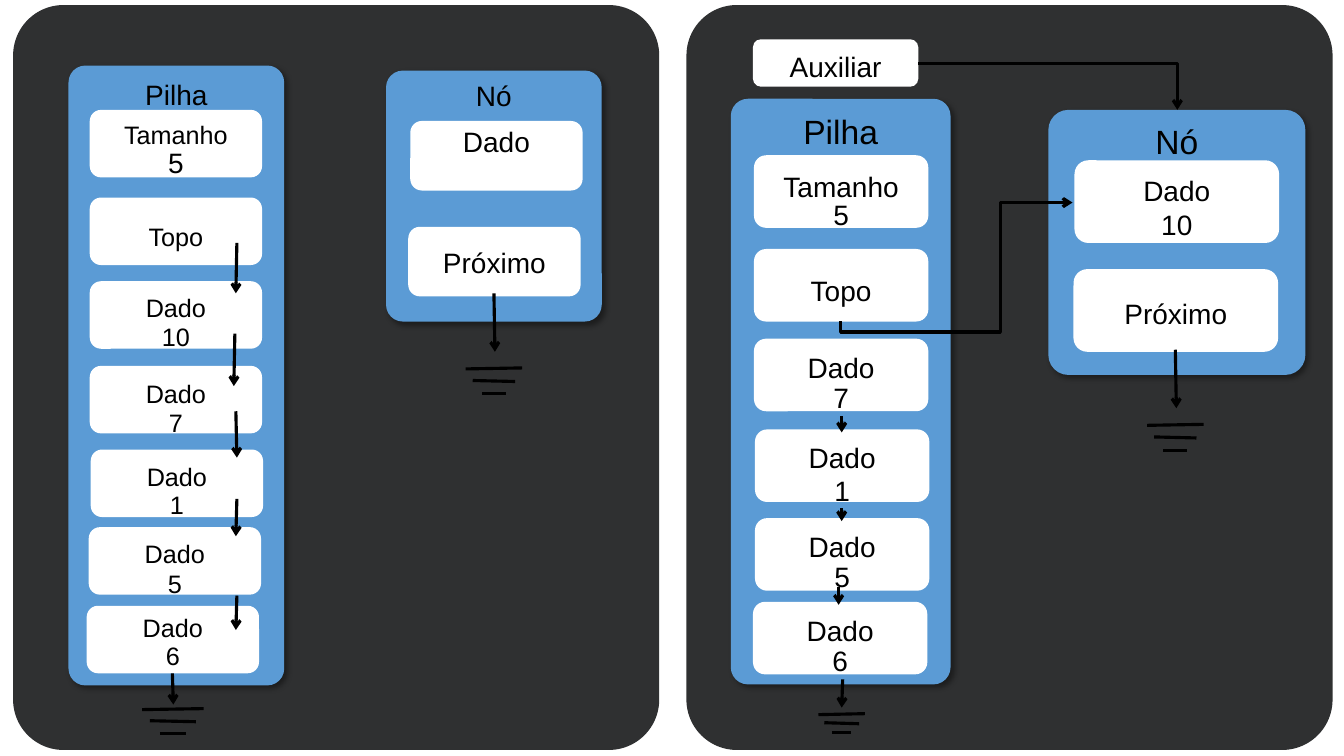
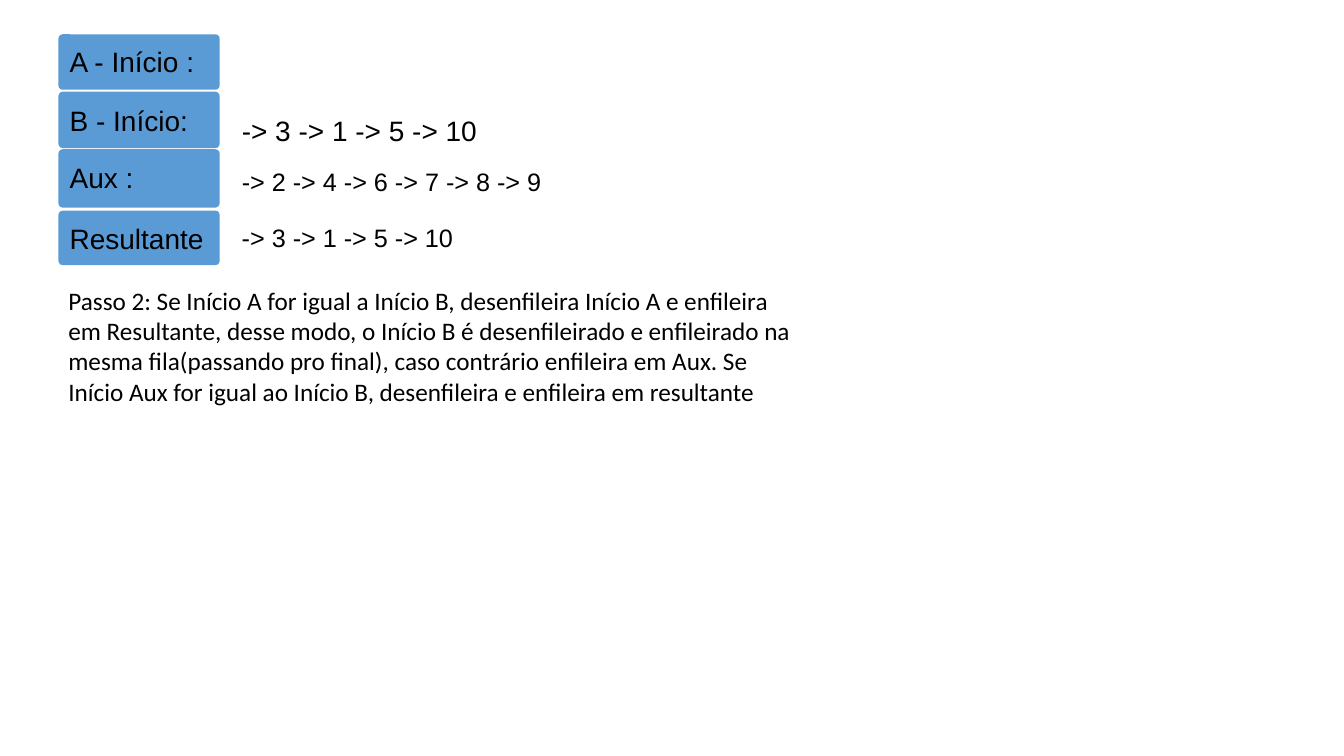
from dataclasses import dataclass
from typing import Any, NamedTuple

from lxml.etree import SubElement
from pptx import Presentation
from pptx.dml.color import RGBColor
from pptx.enum.shapes import MSO_CONNECTOR, MSO_SHAPE
from pptx.enum.text import MSO_ANCHOR, PP_ALIGN
from pptx.oxml.ns import qn
from pptx.util import Inches, Pt

COLUMNS, ROWS = 133.33, 75


@dataclass(frozen=True)
class Theme:
    panel: RGBColor = RGBColor(0x2F, 0x30, 0x31)
    card: RGBColor = RGBColor(0x5B, 0x9B, 0xD5)
    cell: RGBColor = RGBColor(0xFF, 0xFF, 0xFF)
    ink: RGBColor = RGBColor(0, 0, 0)
    diagram_font: str = "Arial"
    body_font: str = "Calibri"
    heading: int = 24
    label: int = 20
    small: int = 18
    stroke: float = 2.25
    card_corner: float = 0.078
    cell_corner: float = 0.167


THEME = Theme()


class Box(NamedTuple):
    column: float
    row: float
    columns: float
    rows: float


class Text(NamedTuple):
    words: str
    size: int = THEME.label
    pitch: float | None = None


class Cell(NamedTuple):
    column: float
    row: float
    pad: float
    lines: tuple[Text, ...]


class Arrow(NamedTuple):
    column: float
    row: float
    end_column: float
    end_row: float


class Ground(NamedTuple):
    center: float
    row: float
    columns: float
    gap: float


class Elbow(NamedTuple):
    box: Box
    preset: str
    turn: dict[str, str] = {}
    adjustments: tuple[int, ...] = ()


@dataclass(frozen=True)
class Card:
    box: Box
    pad: float
    title: Text
    cell_columns: float
    cell_rows: float
    cells: tuple[Cell, ...]


def pair(label: str, value: str, size: int, pitch: float) -> tuple[Text, ...]:
    return Text(label, size), Text(value, size, pitch)


CARDS = (
    Card(Box(6.8, 6.5, 21.4, 61.5), 0.7, Text("Pilha"), 17.1, 6.7, (
        Cell(8.9, 10.9, 0.6, (Text("Tamanho", THEME.small), Text("5", THEME.label, 21))),
        Cell(8.9, 19.6, 2, (Text("Topo", THEME.small),)),
        Cell(8.9, 27.9, 0.8, pair("Dado", "10", THEME.small, 20.5)),
        Cell(8.9, 36.3, 0.9, pair("Dado", "7", THEME.small, 21)),
        Cell(9, 44.6, 0.8, pair("Dado", "1", THEME.small, 20.5)),
        Cell(8.8, 52.3, 0.8, pair("Dado", "5", THEME.small, 21)),
        Cell(8.6, 60.1, 0.3, pair("Dado", "6", THEME.small, 20.5)),
    )),
    Card(Box(38.3, 7, 21.4, 24.9), 0.3, Text("Nó"), 17.1, 6.9, (
        Cell(40.7, 12, 0, (Text("Dado"),)),
        Cell(40.5, 22.5, 1.5, (Text("Próximo"),)),
    )),
    Card(Box(72.5, 9.8, 21.8, 58.1), 0.7, Text("Pilha", THEME.heading), 17.3, 7.2, (
        Cell(74.8, 15.4, 1.1, pair("Tamanho", "5", THEME.label, 20)),
        Cell(74.8, 24.7, 2.1, (Text("Topo"),)),
        Cell(74.8, 33.6, 0.8, pair("Dado", "7", THEME.label, 21.5)),
        Cell(74.9, 42.6, 0.8, pair("Dado", "1", THEME.label, 23)),
        Cell(74.9, 51.4, 0.8, pair("Dado", "5", THEME.label, 21.5)),
        Cell(74.7, 59.7, 0.8, pair("Dado", "6", THEME.label, 21.5)),
    )),
    Card(Box(104, 10.9, 25.5, 26.3), 0.5, Text("Nó", THEME.heading), 20.3, 8.2, (
        Cell(106.6, 15.9, 0.9, pair("Dado", "10", THEME.label, 24.5)),
        Cell(106.5, 26.7, 2.3, (Text("Próximo"),)),
    )),
)

ARROWS = (
    Arrow(23.5, 24.1, 23.4, 29.1),
    Arrow(23.3, 33.1, 23.2, 38.3),
    Arrow(23.4, 40.8, 23.5, 45.4),
    Arrow(23.5, 49.5, 23.4, 53.2),
    Arrow(23.5, 59.1, 23.4, 62.5),
    Arrow(17.1, 66.8, 17.2, 69.9),
    Arrow(49, 29.1, 49.1, 34.9),
    Arrow(83.5, 41.3, 83.5, 42.9),
    Arrow(83.5, 50.4, 83.5, 51.7),
    Arrow(83.2, 58.2, 83.2, 60),
    Arrow(83.6, 67.4, 83.5, 70.2),
    Arrow(116.6, 34.7, 116.7, 40.5),
)

GROUNDS = (
    Ground(17.15, 70.35, 6.1, 1.2),
    Ground(49, 36.55, 5.6, 1.25),
    Ground(83.5, 70.85, 4.6, 0.9),
    Ground(116.6, 42.15, 5.6, 1.25),
)
GROUND_BARS = ((1, -0.1), (0.75, 0.1), (0.42, 0))

ELBOWS = (
    Elbow(Box(91.1, 6.3, 25.7, 4.6), "bentConnector2"),
    Elbow(Box(89, 14.5, 11.8, 23), "bentConnector4",
          {"rot": "5400000", "flipH": "1", "flipV": "1"}, (-8900, 68900)),
)

QUEUE_LABELS = (
    (Box(5.8, 3.4, 16, 5.5), 0.9, "A - Início :"),
    (Box(5.8, 9.1, 16, 5.6), 1, "B - Início:"),
    (Box(5.8, 14.8, 16, 5.8), 1, "Aux :"),
    (Box(5.8, 20.9, 16, 5.4), 1, "Resultante"),
)
QUEUE_VALUES = (
    (Box(23, 10.8, 26.1, 4.4), Text("-> 3 -> 1 -> 5 -> 10")),
    (Box(23, 16, 33.1, 4), Text("-> 2 -> 4 -> 6 -> 7 -> 8 -> 9", THEME.small)),
    (Box(23, 21.6, 27.3, 4), Text("-> 3 -> 1 -> 5 -> 10", THEME.small)),
)
STEP = (
    "Passo 2: Se Início A for igual a Início B, desenfileira Início A e enfileira em "
    "Resultante, desse modo, o Início B é desenfileirado e enfileirado na mesma "
    "fila(passando pro final), caso contrário enfileira em Aux. Se Início Aux for igual "
    "ao Início B, desenfileira e enfileira em resultante"
)


def grid(cells: float) -> int:
    return Inches(cells / 10)


def assign(target: Any, values: dict[str, Any]) -> None:
    for name, value in values.items():
        setattr(target, name, value)


def write(shape: Any, lines: tuple[Text, ...], pad: float, alignment: PP_ALIGN,
          side: float = 1, font: str = THEME.diagram_font) -> None:
    frame = shape.text_frame
    assign(frame, {
        "word_wrap": True, "vertical_anchor": MSO_ANCHOR.TOP,
        "margin_top": grid(pad), "margin_bottom": 0,
        "margin_left": grid(side), "margin_right": grid(side),
    })
    for index, line in enumerate(lines):
        paragraph = frame.add_paragraph() if index else frame.paragraphs[0]
        paragraph.alignment = alignment
        if line.pitch:
            paragraph.line_spacing = Pt(line.pitch)
        run = paragraph.add_run()
        run.text = line.words
        assign(run.font, {"name": font, "size": Pt(line.size)})
        run.font.color.rgb = THEME.ink


def add_block(slide: Any, box: Box, color: RGBColor, corner: float) -> Any:
    shape = slide.shapes.add_shape(MSO_SHAPE.ROUNDED_RECTANGLE, *map(grid, box))
    shape.shadow.inherit = False
    shape.adjustments[0] = corner
    shape.fill.solid()
    shape.fill.fore_color.rgb = color
    shape.line.fill.background()
    return shape


def add_shadow(shape: Any) -> None:
    effects = shape.element.spPr.find(qn("a:effectLst"))
    shadow = SubElement(effects, qn("a:outerShdw"), {
        "blurRad": str(Pt(4)), "dist": str(Pt(3)), "dir": "2700000",
        "algn": "tl", "rotWithShape": "0",
    })
    color = SubElement(shadow, qn("a:srgbClr"), val=str(THEME.ink))
    SubElement(color, qn("a:alpha"), val="40000")


def add_cell(slide: Any, box: Box, pad: float, lines: tuple[Text, ...]) -> None:
    shape = add_block(slide, box, THEME.cell, THEME.cell_corner)
    write(shape, lines, pad, PP_ALIGN.CENTER, side=0)


def add_card(slide: Any, card: Card) -> None:
    shape = add_block(slide, card.box, THEME.card, THEME.card_corner)
    add_shadow(shape)
    write(shape, (card.title,), card.pad, PP_ALIGN.CENTER)
    for cell in card.cells:
        box = Box(cell.column, cell.row, card.cell_columns, card.cell_rows)
        add_cell(slide, box, cell.pad, cell.lines)


def add_line(slide: Any, ends: Arrow, head: bool = True,
             kind: MSO_CONNECTOR = MSO_CONNECTOR.STRAIGHT) -> Any:
    connector = slide.shapes.add_connector(kind, *map(grid, ends))
    connector.line.width = Pt(THEME.stroke)
    connector.line.color.rgb = THEME.ink
    if head:
        SubElement(connector.line._get_or_add_ln(), qn("a:tailEnd"), type="arrow")
    SubElement(connector.element.spPr, qn("a:effectLst"))
    return connector


def add_elbow(slide: Any, elbow: Elbow) -> None:
    column, row, columns, rows = elbow.box
    ends = Arrow(column, row, column + columns, row + rows)
    properties = add_line(slide, ends, kind=MSO_CONNECTOR.ELBOW).element.spPr
    for name, value in elbow.turn.items():
        properties.find(qn("a:xfrm")).set(name, value)
    geometry = properties.find(qn("a:prstGeom"))
    geometry.set("prst", elbow.preset)
    guides = geometry.find(qn("a:avLst"))
    for number, value in enumerate(elbow.adjustments, 1):
        SubElement(guides, qn("a:gd"), name=f"adj{number}", fmla=f"val {value}")


def add_ground(slide: Any, ground: Ground) -> None:
    for index, (share, tilt) in enumerate(GROUND_BARS):
        half = ground.columns * share / 2
        row = ground.row + index * ground.gap
        bar = Arrow(ground.center - half, row - tilt / 2, ground.center + half, row + tilt / 2)
        add_line(slide, bar, head=False)


def add_text(slide: Any, box: Box, text: Text, font: str = THEME.diagram_font) -> None:
    shape = slide.shapes.add_textbox(*map(grid, box))
    write(shape, (text,), 0.5, PP_ALIGN.LEFT, font=font)


def build_stack_slide(slide: Any) -> None:
    for column in (1.3, 68.1):
        add_block(slide, Box(column, 0.5, 64.1, 73.9), THEME.panel, THEME.card_corner)
    add_cell(slide, Box(74.7, 3.9, 16.4, 4.7), 0.8, (Text("Auxiliar"),))
    for card in CARDS:
        add_card(slide, card)
    for arrow in ARROWS:
        add_line(slide, arrow)
    for elbow in ELBOWS:
        add_elbow(slide, elbow)
    for ground in GROUNDS:
        add_ground(slide, ground)


def build_queue_slide(slide: Any) -> None:
    for box, pad, words in QUEUE_LABELS:
        shape = add_block(slide, box, THEME.card, THEME.card_corner)
        write(shape, (Text(words),), pad, PP_ALIGN.LEFT)
    for box, text in QUEUE_VALUES:
        add_text(slide, box, text)
    add_text(slide, Box(5.8, 27.8, 75.1, 13.1), Text(STEP, THEME.small), THEME.body_font)


def main() -> None:
    presentation = Presentation()
    assign(presentation, {"slide_width": grid(COLUMNS), "slide_height": grid(ROWS)})
    blank = presentation.slide_layouts[6]
    for build in (build_stack_slide, build_queue_slide):
        build(presentation.slides.add_slide(blank))
    presentation.save("out.pptx")


if __name__ == "__main__":
    main()
